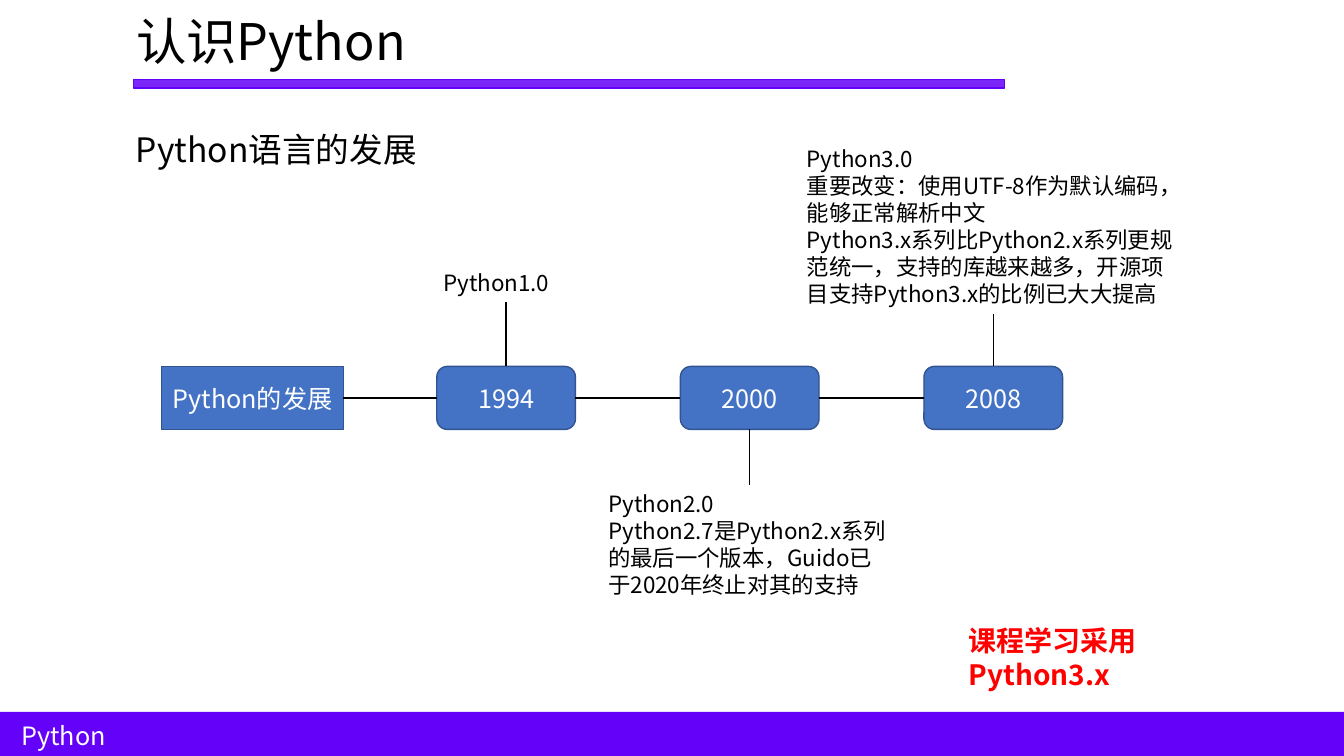
"""Build the slide with the timeline of Python versions."""
from lxml import etree
from pptx import Presentation
from pptx.dml.color import RGBColor
from pptx.enum.shapes import MSO_CONNECTOR, MSO_SHAPE
from pptx.enum.text import MSO_ANCHOR, MSO_AUTO_SIZE, PP_ALIGN
from pptx.oxml.ns import qn
from pptx.util import Pt

PX = 9525
RECT, ROUNDED = MSO_SHAPE.RECTANGLE, MSO_SHAPE.FLOWCHART_ALTERNATE_PROCESS
STRAIGHT = MSO_CONNECTOR.STRAIGHT
TOP, MIDDLE = MSO_ANCHOR.TOP, MSO_ANCHOR.MIDDLE
LEFT, CENTER = PP_ALIGN.LEFT, PP_ALIGN.CENTER
NO_FIT = MSO_AUTO_SIZE.NONE
SIDE_TOP, SIDE_LEFT, SIDE_BOTTOM, SIDE_RIGHT = range(4)

THEME = {
    "font": "Noto Sans CJK SC",
    "purple": RGBColor(0x64, 0x01, 0xF8),
    "blue": RGBColor(0x44, 0x72, 0xC4),
    "edge": RGBColor(0x32, 0x54, 0x91),
    "black": RGBColor(0, 0, 0),
    "white": RGBColor(0xFF, 0xFF, 0xFF),
    "red": RGBColor(0xFF, 0, 0),
    "title": 36, "subtitle": 24, "remark": 20, "label": 18, "note": 16,
}


def write(sp, lines, size, color, align=LEFT, anchor=TOP, bold=False):
    """Fill a shape with one paragraph per line."""
    tf = sp.text_frame
    tf.word_wrap = True
    tf.auto_size = NO_FIT
    tf.vertical_anchor = anchor
    for i, line in enumerate(lines):
        p = tf.add_paragraph() if i else tf.paragraphs[0]
        p.alignment = align
        r = p.add_run()
        r.text = line
        r.font.name = THEME["font"]
        r.font.size = Pt(THEME[size])
        r.font.bold = bold
        r.font.color.rgb = THEME[color]
        ea = etree.SubElement(r.font._element, qn("a:ea"))
        ea.set("typeface", THEME["font"])


def add_box(kind, x, y, w, h, fill, edge=None):
    """Add a filled shape, outlined when an edge colour is given."""
    sp = s.shapes.add_shape(kind, x * PX, y * PX, w * PX, h * PX)
    sp.shadow.inherit = False
    sp.fill.solid()
    sp.fill.fore_color.rgb = THEME[fill]
    if edge:
        sp.line.color.rgb = THEME[edge]
        sp.line.width = Pt(1)
    else:
        sp.line.fill.background()
    return sp


prs = Presentation()
prs.slide_width, prs.slide_height = 1280 * PX, 720 * PX
s = prs.slides.add_slide(prs.slide_layouts[5])

rule = add_box(RECT, 127, 76, 830, 8, "purple", "purple")
rule_color = rule.fill._xPr.find(".//" + qn("a:srgbClr"))
etree.SubElement(rule_color, qn("a:alpha")).set("val", "85000")
add_box(RECT, 0, 678, 1280, 42, "purple")

title = s.shapes.title
title.left, title.top, title.width, title.height = 120 * PX, 5 * PX, 403 * PX, 68 * PX
write(title, ["认识Python"], "title", "black")

for x, y, w, h, text, size, color, bold in [
    (11, 681, 257, 39, "Python", "label", "white", False),
    (120, 118, 464, 48, "Python语言的发展", "subtitle", "black", False),
    (913, 589, 306, 42, "课程学习采用Python3.x", "remark", "red", True),
]:
    sp = s.shapes.add_textbox(x * PX, y * PX, w * PX, h * PX)
    write(sp, [text], size, color, bold=bold)

ROW_TOP, ROW_HEIGHT = 349, 60
YEAR_LEFT, YEAR_WIDTH, YEAR_STEP = 416, 132, 232
versions = [
    ("1994", 252, 138, 36, ["Python1.0"]),
    ("2000", 462, 288, 113, [
        "Python2.0",
        "Python2.7是Python2.x系列的最后一个版本，Guido已于2020年终止对其的支持",
    ]),
    ("2008", 134, 374, 165, [
        "Python3.0",
        "重要改变：使用UTF-8作为默认编码，能够正常解析中文",
        "Python3.x系列比Python2.x系列更规范统一，支持的库越来越多，"
        "开源项目支持Python3.x的比例已大大提高",
    ]),
]

previous = add_box(RECT, 154, ROW_TOP, 173, ROW_HEIGHT, "blue", "edge")
write(previous, ["Python的发展"], "label", "white", CENTER, MIDDLE)
links = []
for i, (year, y, w, h, lines) in enumerate(versions):
    x = YEAR_LEFT + i * YEAR_STEP
    box = add_box(ROUNDED, x, ROW_TOP, YEAR_WIDTH, ROW_HEIGHT, "blue", "edge")
    write(box, [year], "label", "white", CENTER, MIDDLE)
    note_left = x + (YEAR_WIDTH - w) // 2
    note = s.shapes.add_textbox(note_left * PX, y * PX, w * PX, h * PX)
    write(note, lines, "note", "black")
    links.append((previous, SIDE_RIGHT, box, SIDE_LEFT))
    if y < ROW_TOP:
        links.append((note, SIDE_BOTTOM, box, SIDE_TOP))
    else:
        links.append((box, SIDE_BOTTOM, note, SIDE_TOP))
    previous = box

for start, start_side, end, end_side in links:
    line = s.shapes.add_connector(STRAIGHT, 0, 0, 0, 0)
    line.begin_connect(start, start_side)
    line.end_connect(end, end_side)
    line.line.color.rgb = THEME["black"]
    line.line.width = Pt(1)
    etree.SubElement(line._element.spPr, qn("a:effectLst"))

prs.save("out.pptx")
